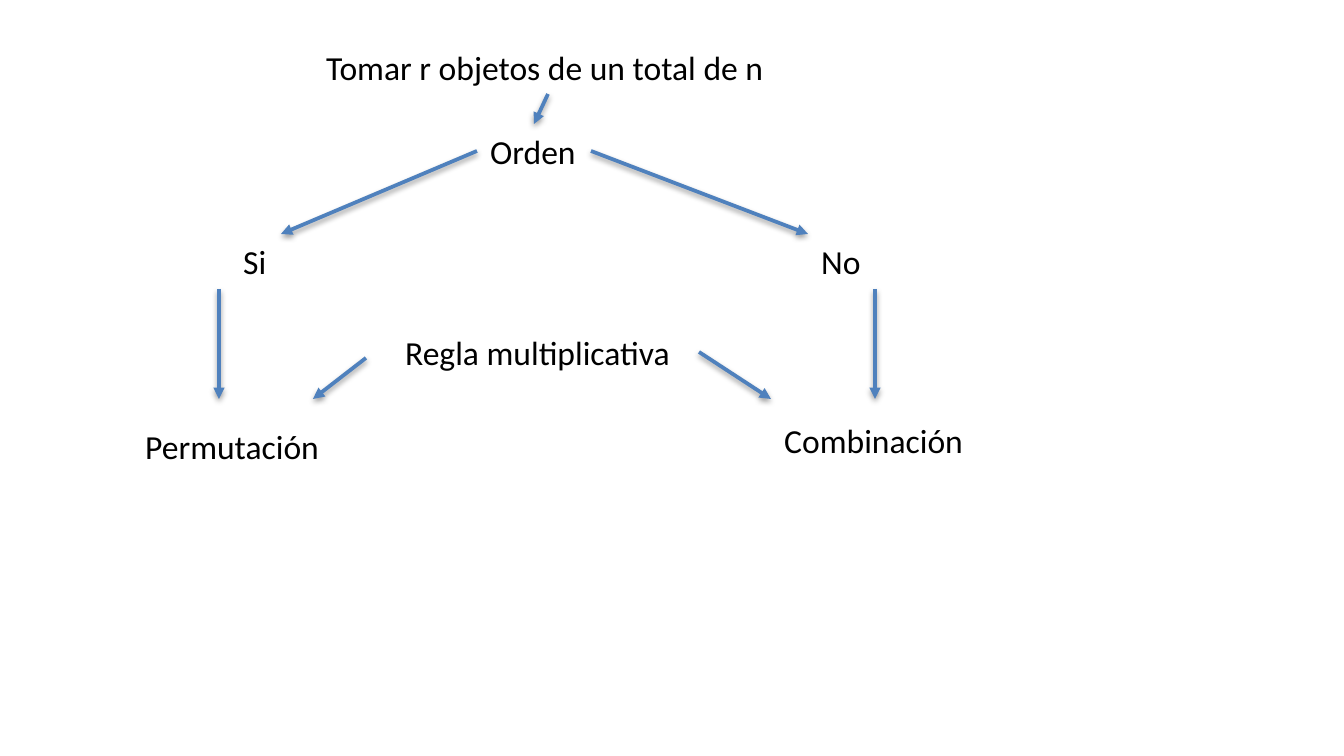
from dataclasses import dataclass

from lxml.etree import SubElement
from pptx import Presentation
from pptx.dml.color import RGBColor
from pptx.enum.shapes import MSO_CONNECTOR
from pptx.enum.text import MSO_AUTO_SIZE
from pptx.oxml import parse_xml
from pptx.oxml.ns import nsdecls, qn
from pptx.util import Emu, Pt

EMU_PER_PX = 914400 / 134.4
TOP, LEFT, BOTTOM, RIGHT = range(4)
LABEL_HEIGHT = 54


@dataclass(frozen=True)
class Theme:
    font: str = "Calibri"
    text_size: int = 18
    text_color: str = "000000"
    arrow_color: str = "4F81BD"
    arrow_width: int = 2
    shadow_color: str = "000000"


def px(length):
    return Emu(round(length * EMU_PER_PX))


class DiagramSlide:
    def __init__(self, slide, theme):
        self.slide = slide
        self.theme = theme

    def label(self, text, left, top, width):
        shape = self.slide.shapes.add_textbox(px(left), px(top), px(width), px(LABEL_HEIGHT))
        frame = shape.text_frame
        frame.word_wrap = False
        frame.auto_size = MSO_AUTO_SIZE.SHAPE_TO_FIT_TEXT
        run = frame.paragraphs[0].add_run()
        run.text = text
        run.font.name = self.theme.font
        run.font.size = Pt(self.theme.text_size)
        run.font.color.rgb = RGBColor.from_string(self.theme.text_color)
        return shape

    def arrow(self, start, end, source=None, target=None):
        connector = self.slide.shapes.add_connector(
            MSO_CONNECTOR.STRAIGHT, *map(px, start + end)
        )
        if source:
            connector.begin_connect(*source)
        if target:
            connector.end_connect(*target)
        connector.line.color.rgb = RGBColor.from_string(self.theme.arrow_color)
        connector.line.width = Pt(self.theme.arrow_width)
        properties = connector.element.spPr
        SubElement(properties.find(qn("a:ln")), qn("a:tailEnd"), type="triangle")
        properties.append(self.shadow())

    def shadow(self):
        return parse_xml(
            f'<a:effectLst {nsdecls("a")}>'
            f'<a:outerShdw blurRad="{Pt(3.1)}" dist="{Pt(1.6)}" dir="5400000" rotWithShape="0">'
            f'<a:srgbClr val="{self.theme.shadow_color}"><a:alpha val="38000"/></a:srgbClr>'
            "</a:outerShdw></a:effectLst>"
        )


def main():
    presentation = Presentation()
    presentation.slide_width = px(1344)
    presentation.slide_height = px(756)
    slide = presentation.slides.add_slide(presentation.slide_layouts[6])
    diagram = DiagramSlide(slide, Theme())

    question = diagram.label("Tomar r objetos de un total de n", 313, 40, 470)
    order = diagram.label("Orden", 477, 124, 114)
    for text, left, top, width in (
        ("Si", 230, 234, 51),
        ("No", 808, 234, 67),
        ("Regla multiplicativa", 392, 325, 296),
        ("Permutación", 132, 419, 203),
        ("Combinación", 771, 413, 208),
    ):
        diagram.label(text, left, top, width)

    diagram.arrow((548, 94), (534, 124), (question, BOTTOM), (order, TOP))
    diagram.arrow((477, 151), (281, 234), (order, LEFT))
    diagram.arrow((591, 151), (808, 234), (order, RIGHT))
    for center in (219, 875):
        diagram.arrow((center, 289), (center, 399))
    diagram.arrow((366, 358), (313, 399))
    diagram.arrow((699, 352), (771, 399))

    presentation.save("out.pptx")


if __name__ == "__main__":
    main()
